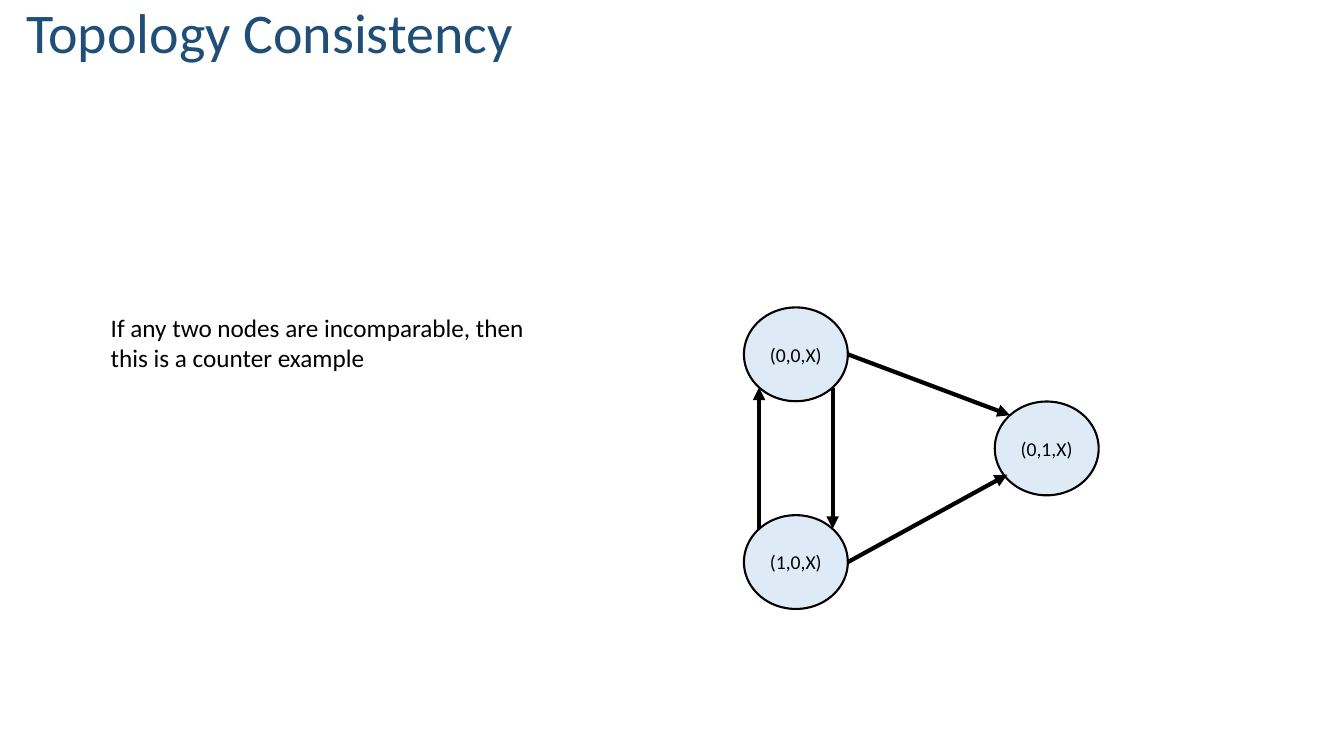
from pptx import Presentation
from pptx.dml.color import RGBColor
from pptx.enum.shapes import MSO_CONNECTOR, MSO_SHAPE
from pptx.enum.text import MSO_ANCHOR, MSO_AUTO_SIZE, PP_ALIGN
from pptx.oxml.ns import qn
from pptx.util import Pt
from lxml.etree import SubElement

NAVY = RGBColor(0x1F, 0x4E, 0x79)
PALE_BLUE = RGBColor(0xDE, 0xEB, 0xF7)
BLACK = RGBColor(0, 0, 0)

NODE_WIDTH, NODE_HEIGHT = 74.2, 67
DIAGONAL_INSET = 0.146  # share of the box outside the ellipse's 45° points


def write_text(shape, text, size, color, alignment=PP_ALIGN.LEFT):
    shape.text_frame.text = text
    for paragraph in shape.text_frame.paragraphs:
        paragraph.alignment = alignment
        font_format = {"name": "Calibri", "size": Pt(size)}
        for attribute, value in font_format.items():
            setattr(paragraph.runs[0].font, attribute, value)
        paragraph.runs[0].font.color.rgb = color


def node_point(name, across, down):
    """Return a point given as shares of the named node's width and height."""
    left, top = NODES[name]
    return left + across * NODE_WIDTH, top + down * NODE_HEIGHT


presentation = Presentation()
presentation.slide_width, presentation.slide_height = Pt(960), Pt(540)
slide = presentation.slides.add_slide(presentation.slide_layouts[5])

title = slide.shapes.title
title.left, title.top, title.width, title.height = Pt(11.5), Pt(-16.5), Pt(641), Pt(67)
write_text(title, "Topology Consistency", 40, NAVY)
title.text_frame.vertical_anchor = MSO_ANCHOR.BOTTOM
title.text_frame.auto_size = MSO_AUTO_SIZE.NONE
title.text_frame.paragraphs[0].line_spacing = 0.9

claim = slide.shapes.add_textbox(Pt(72), Pt(219.6), Pt(317.5), Pt(51))
write_text(claim, "If any two nodes are incomparable, then\nthis is a counter example", 18, BLACK)
claim.text_frame.word_wrap = False
claim.text_frame.auto_size = MSO_AUTO_SIZE.SHAPE_TO_FIT_TEXT

NODES = {
    "(0,0,X)": (531.4, 219.6),
    "(1,0,X)": (531.4, 368),
    "(0,1,X)": (710.6, 286.8),
}
for name, (left, top) in NODES.items():
    node = slide.shapes.add_shape(
        MSO_SHAPE.OVAL, Pt(left), Pt(top), Pt(NODE_WIDTH), Pt(NODE_HEIGHT))
    node.shadow.inherit = False
    node.fill.solid()
    node.fill.fore_color.rgb = PALE_BLUE
    node.line.color.rgb = BLACK
    node.line.width = Pt(1.5)
    write_text(node, name, 14, BLACK, PP_ALIGN.CENTER)
    node.text_frame.vertical_anchor = MSO_ANCHOR.MIDDLE
    node.text_frame.word_wrap = False

near, far = DIAGONAL_INSET, 1 - DIAGONAL_INSET
arrows = [
    (node_point("(1,0,X)", near, near), node_point("(0,0,X)", near, far)),
    (node_point("(0,0,X)", far, far), node_point("(1,0,X)", far, near)),
    (node_point("(1,0,X)", 1, 0.5), node_point("(0,1,X)", 0.12, 0.78)),
    (node_point("(0,0,X)", 1, 0.5), node_point("(0,1,X)", near, near)),
]
for start, end in arrows:
    arrow = slide.shapes.add_connector(
        MSO_CONNECTOR.STRAIGHT, *(Pt(length) for length in start + end))
    arrow.line.color.rgb = BLACK
    arrow.line.width = Pt(3)
    SubElement(arrow.line._get_or_add_ln(), qn("a:tailEnd"), type="triangle")
    SubElement(arrow._element.spPr, qn("a:effectLst"))

presentation.save("out.pptx")
